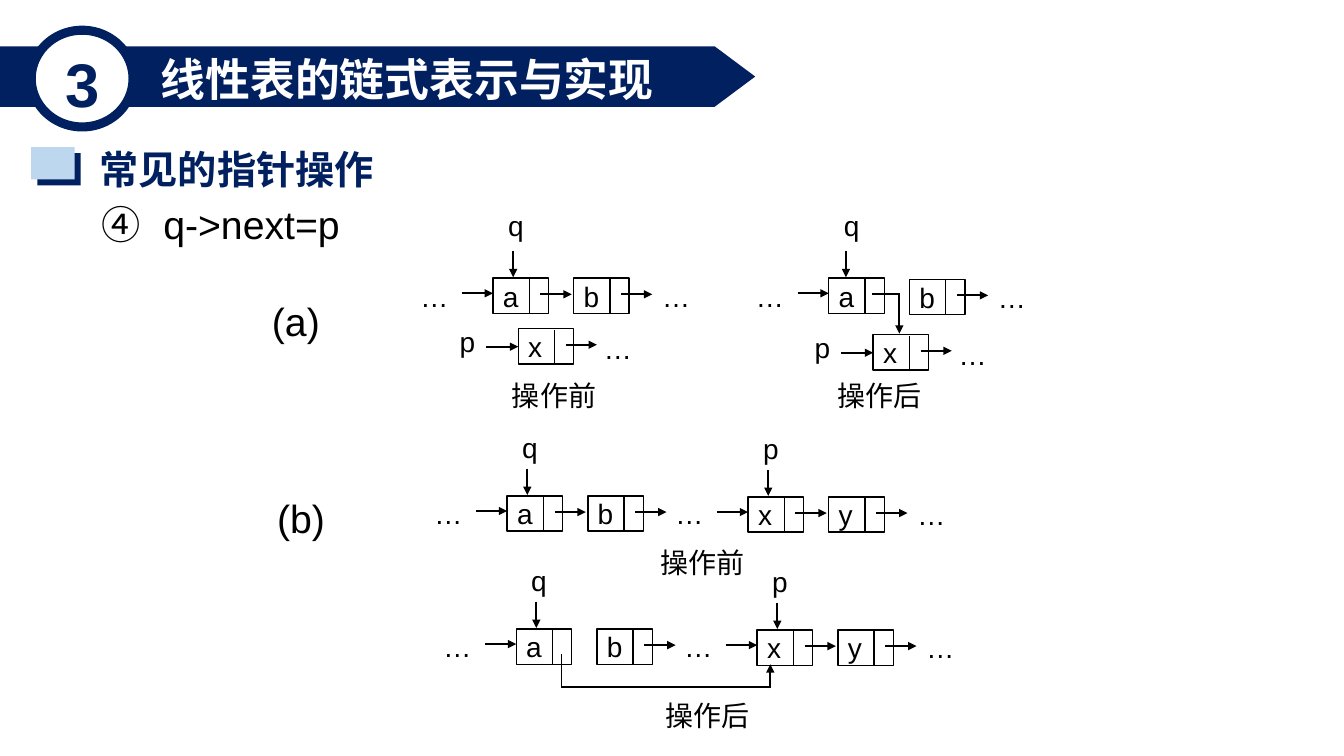
from dataclasses import dataclass

from lxml import etree
from pptx import Presentation
from pptx.dml.color import RGBColor
from pptx.enum.shapes import MSO_CONNECTOR, MSO_SHAPE
from pptx.enum.text import MSO_ANCHOR, MSO_AUTO_SIZE, PP_ALIGN
from pptx.oxml.ns import qn
from pptx.util import Inches, Pt

RECT = MSO_SHAPE.RECTANGLE
OVAL = MSO_SHAPE.OVAL
BANNER = MSO_SHAPE.PENTAGON
STRAIGHT = MSO_CONNECTOR.STRAIGHT
MIDDLE = MSO_ANCHOR.MIDDLE
NO_FIT = MSO_AUTO_SIZE.NONE
LEFT = PP_ALIGN.LEFT
CENTER = PP_ALIGN.CENTER


@dataclass(frozen=True)
class Theme:
    navy: RGBColor = RGBColor(0x00, 0x20, 0x60)
    sky: RGBColor = RGBColor(0xBD, 0xD7, 0xEE)
    white: RGBColor = RGBColor(0xFF, 0xFF, 0xFF)
    black: RGBColor = RGBColor(0x00, 0x00, 0x00)
    sans: str = "Arial"
    serif: str = "Times New Roman"
    hans: str = "Noto Sans CJK SC"
    badge: int = 44
    title: int = 32
    body: int = 28
    label: int = 20
    thin: float = 1
    thick: float = 1.5
    ring: float = 6.5


THEME = Theme()
NODE_W = 0.55
NODE_H = 0.35
STEP = 0.8


def place(shape, x, y, w, h):
    shape.left, shape.top = Inches(x), Inches(y)
    shape.width, shape.height = Inches(w), Inches(h)


def style(shape, size, color=THEME.black, name=THEME.sans, bold=False, align=LEFT):
    frame = shape.text_frame
    frame.auto_size = NO_FIT
    frame.word_wrap = False
    frame.vertical_anchor = MIDDLE
    frame.margin_left = frame.margin_right = Inches(0.1)
    frame.margin_top = frame.margin_bottom = Inches(0.05)
    para = frame.paragraphs[0]
    para.alignment = align
    para.space_before = Pt(0)
    para.font.size = Pt(size)
    para.font.name = name
    para.font.bold = bold
    para.font.color.rgb = color


def label(slide, text, x, y, w, h=NODE_H, size=THEME.label, **look):
    box = slide.shapes.add_textbox(Inches(x), Inches(y), Inches(w), Inches(h))
    box.text_frame.text = text
    style(box, size, **look)


def block(slide, kind, x, y, w, h, fill=None, line=None, width=THEME.thin):
    shape = slide.shapes.add_shape(kind, Inches(x), Inches(y), Inches(w), Inches(h))
    shape.shadow.inherit = False
    if fill is None:
        shape.fill.background()
    else:
        shape.fill.solid()
        shape.fill.fore_color.rgb = fill
    if line is None:
        shape.line.fill.background()
    else:
        shape.line.color.rgb = line
        shape.line.width = Pt(width)
    return shape


def stroke(slide, x1, y1, x2, y2, width=THEME.thick, arrow=False):
    line = slide.shapes.add_connector(
        STRAIGHT, Inches(x1), Inches(y1), Inches(x2), Inches(y2))
    line.line.color.rgb = THEME.black
    line.line.width = Pt(width)
    if arrow:
        etree.SubElement(line.line._get_or_add_ln(), qn("a:tailEnd"), type="triangle")
    etree.SubElement(line.element.spPr, qn("a:effectLst"))


def dots(slide, x, y):
    label(slide, "…", x, y, 0.43)


def node(slide, text, x, y, link=True):
    box = block(slide, RECT, x, y, NODE_W, NODE_H, line=THEME.black)
    box.text_frame.text = text
    style(box, THEME.label)
    stroke(slide, x + 0.36, y + 0.01, x + 0.36, y + 0.36, THEME.thin)
    if link:
        stroke(slide, x + 0.47, y + 0.16, x + 0.78, y + 0.16, arrow=True)


def entry(slide, x, y):
    stroke(slide, x - 0.31, y + 0.15, x, y + 0.15, arrow=True)


def lead(slide, x, y):
    dots(slide, x - 0.82, y)
    entry(slide, x, y)


def above(slide, text, x, y, rise=0.66, shift=0.2):
    label(slide, text, x + 0.05, y - rise, 0.35)
    stroke(slide, x + shift, y - 0.27, x + shift, y - 0.01, arrow=True)


def beside(slide, text, x, y):
    label(slide, text, x - 0.68, y - 0.05, 0.35)
    stroke(slide, x - 0.32, y + 0.18, x, y + 0.18, arrow=True)
    node(slide, "x", x, y)
    dots(slide, x + 0.75, y + 0.02)


def chain(slide, x, y, link):
    mid = x + 2.39
    low = y + 0.01
    lead(slide, x, y)
    above(slide, "q", x, y)
    node(slide, "a", x, y, link)
    node(slide, "b", x + STEP, y)
    dots(slide, x + 1.57, y)
    entry(slide, mid, low)
    above(slide, "p", mid, low)
    node(slide, "x", mid, low)
    node(slide, "y", mid + STEP, low)
    dots(slide, mid + 1.58, low)


def first(slide):
    label(slide, "(a)", 2.68, 2.97, 0.51, 0.43, THEME.body, align=CENTER)
    y = 2.76
    for x, gap, drop, link in ((4.89, STEP, 0, True), (8.22, STEP, 0.01, False)):
        lead(slide, x, y)
        above(slide, "q", x, y, 0.7, 0.2 if link else 0.17)
        node(slide, "a", x, y, link)
        node(slide, "b", x + gap, y + drop)
        dots(slide, x + gap + 0.78, y + drop)
    beside(slide, "p", 5.14, 3.26)
    beside(slide, "p", 8.66, 3.32)
    stroke(slide, 8.65, 2.92, 8.93, 2.92)
    stroke(slide, 8.92, 2.92, 8.92, 3.31, arrow=True)
    label(slide, "操作前", 4.98, 3.72, 1.17, 0.41)
    label(slide, "操作后", 8.21, 3.72, 1.17, 0.41)


def second(slide):
    label(slide, "(b)", 2.65, 4.91, 0.51, 0.45, THEME.body)
    chain(slide, 5.03, 4.92, True)
    label(slide, "操作前", 6.45, 5.38, 1.16, 0.4)
    chain(slide, 5.12, 6.24, False)
    stroke(slide, 5.57, 6.49, 5.57, 6.83, THEME.thin)
    stroke(slide, 5.57, 6.82, 7.65, 6.82)
    stroke(slide, 7.64, 6.83, 7.64, 6.59, arrow=True)
    label(slide, "操作后", 6.5, 6.9, 1.16, 0.4)


def header(slide):
    title = slide.shapes.title
    banner = block(slide, BANNER, 0, 0.46, 7.49, 0.6, THEME.navy)
    banner.adjustments[0] = 0.67
    title.element.addprevious(banner.element)
    title.text_frame.text = "线性表的链式表示与实现"
    place(title, 1.47, 0.46, 5.14, 0.64)
    style(title, THEME.title, THEME.white, bold=True, align=CENTER)
    block(slide, OVAL, 0.31, 0.3, 1.01, 0.96, THEME.white, THEME.navy, THEME.ring)
    label(slide, "3", 0.54, 0.4, 0.55, 0.84, THEME.badge,
          color=THEME.navy, bold=True, align=CENTER)


def topic(slide):
    block(slide, RECT, 0.37, 1.52, 0.43, 0.32, THEME.navy)
    block(slide, RECT, 0.31, 1.46, 0.43, 0.32, THEME.sky)
    label(slide, "常见的指针操作", 0.89, 1.39, 2.95, 0.57, THEME.body,
          color=THEME.navy, name=THEME.serif, bold=True)
    body = slide.placeholders[1]
    place(body, 0.91, 1.97, 2.56, 0.51)
    para = body.text_frame.paragraphs[0]
    props = para._p.get_or_add_pPr()
    indent = Inches(0.61)
    props.set("marL", str(indent))
    props.set("indent", str(-indent))
    etree.SubElement(props, qn("a:buNone"))
    tabs = etree.SubElement(props, qn("a:tabLst"))
    etree.SubElement(tabs, qn("a:tab"), pos=str(indent), algn="l")
    for text, name in (("④\t", THEME.hans), ("q->next=p", THEME.sans)):
        run = para.add_run()
        run.text = text
        run.font.name = name
    style(body, THEME.body)


def main():
    deck = Presentation()
    deck.slide_width, deck.slide_height = Inches(13.33), Inches(7.5)
    slide = deck.slides.add_slide(deck.slide_layouts[1])
    header(slide)
    topic(slide)
    first(slide)
    second(slide)
    deck.save("out.pptx")


if __name__ == "__main__":
    main()
